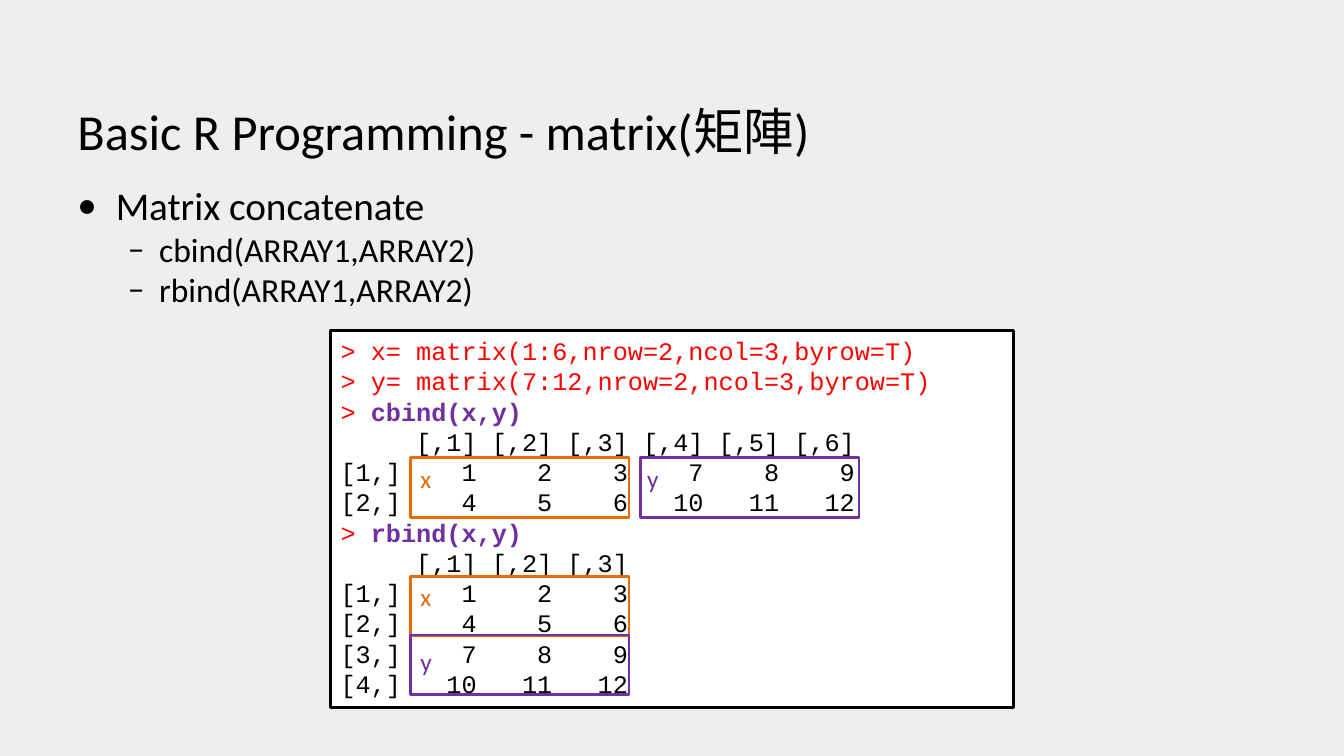
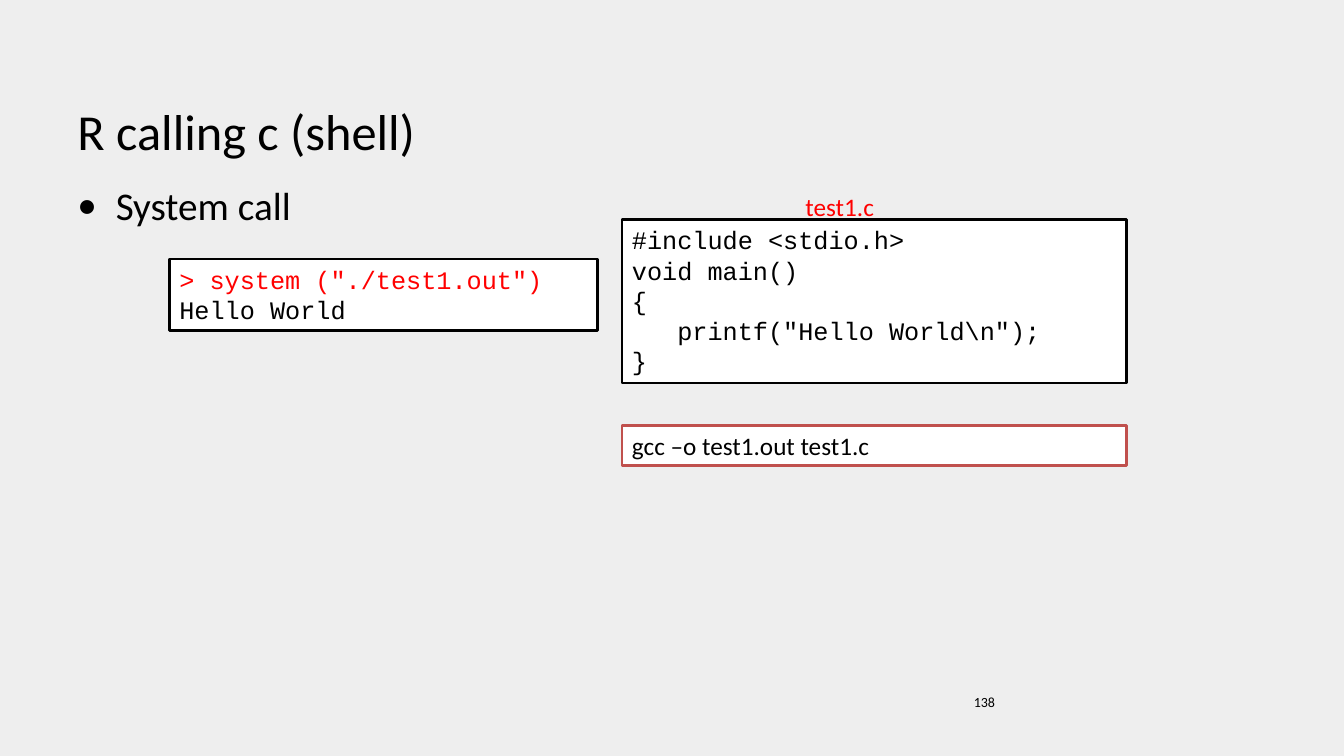
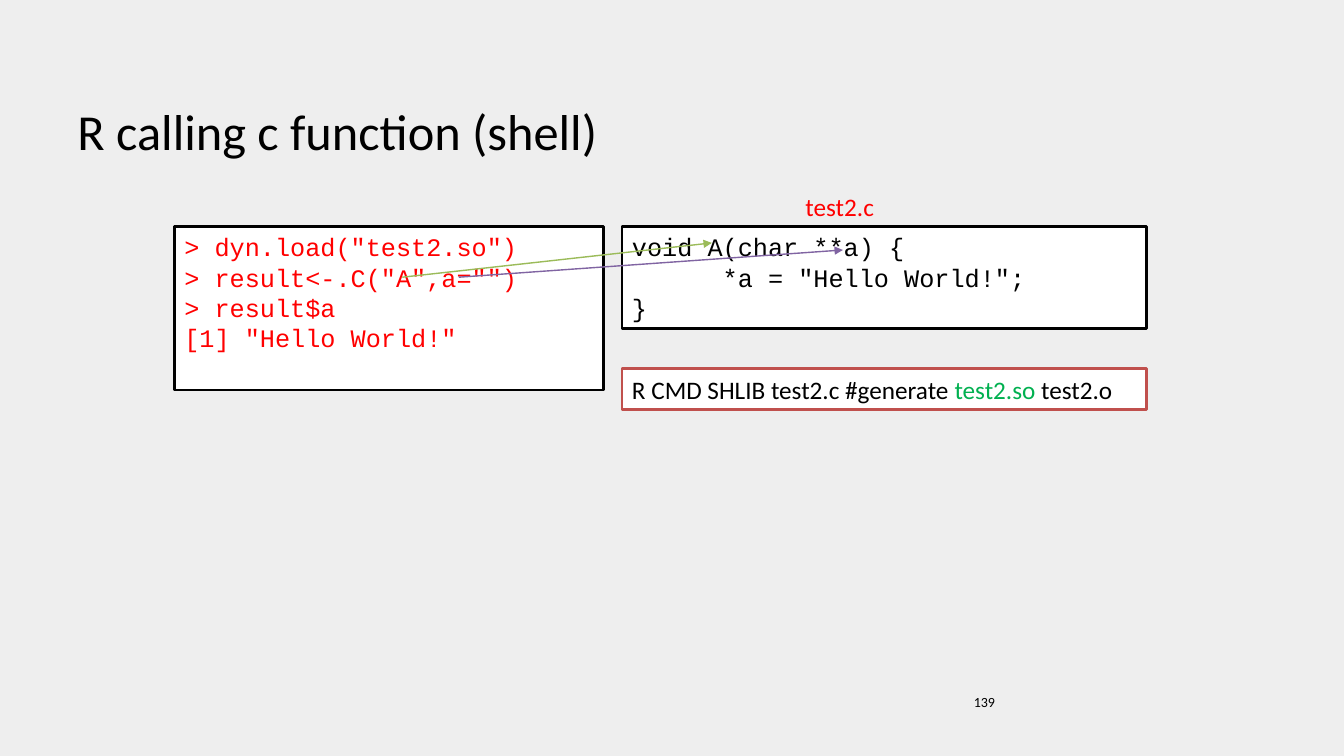
from dataclasses import dataclass

from lxml import etree
from pptx import Presentation
from pptx.dml.color import RGBColor
from pptx.enum import shapes, text
from pptx.oxml import ns
from pptx.util import Inches, Pt


@dataclass(frozen=True)
class Theme:
    background: str = "EEEEEE"
    paper: str = "FFFFFF"
    ink: str = "000000"
    red: str = "FF0000"
    brick: str = "C0504D"
    orange: str = "E46C0A"
    purple: str = "7030A0"
    green: str = "00B050"
    lime: str = "9BBB59"
    violet: str = "8064A2"
    prose: str = "Calibri"
    code: str = "Courier New"
    title_size: int = 36
    bullet_sizes: tuple = (28, 24)
    text_size: int = 18
    number_size: int = 10
    frame_width: int = 2


THEME = Theme()
BULLETS = (("•", 0.38, -0.38), ("–", 0.81, -0.31))


def color(value):
    return RGBColor.from_string(value)


def add_span(para, words, ink=THEME.ink, size=THEME.text_size, font=THEME.prose, bold=False):
    span = para.add_run()
    span.text = words
    span.font.name = font
    span.font.size = Pt(size)
    span.font.bold = bold
    span.font.color.rgb = color(ink)


def next_para(frame, index):
    return frame.add_paragraph() if index else frame.paragraphs[0]


def add_label(page, place, words, ink=THEME.ink, size=THEME.text_size, anchor=text.MSO_ANCHOR.TOP):
    box = page.shapes.add_textbox(*map(Inches, place))
    box.text_frame.word_wrap = True
    box.text_frame.vertical_anchor = anchor
    add_span(box.text_frame.paragraphs[0], words, ink, size)


def add_bullets(page, items):
    box = page.shapes.add_textbox(*map(Inches, (0.67, 1.75, 12, 4.95)))
    box.text_frame.word_wrap = True
    for index, (level, words) in enumerate(items):
        para = next_para(box.text_frame, index)
        para.level = level
        mark, margin, indent = BULLETS[level]
        properties = para._p.get_or_add_pPr()
        properties.set("marL", str(Inches(margin)))
        properties.set("indent", str(Inches(indent)))
        etree.SubElement(properties, ns.qn("a:buFont")).set("typeface", THEME.prose)
        etree.SubElement(properties, ns.qn("a:buChar")).set("char", mark)
        add_span(para, words, size=THEME.bullet_sizes[level])


def add_frame(page, place, line, fill=None):
    box = page.shapes.add_shape(shapes.MSO_SHAPE.RECTANGLE, *map(Inches, place))
    box.shadow.inherit = False
    box.line.color.rgb = color(line)
    box.line.width = Pt(THEME.frame_width)
    if fill:
        box.fill.solid()
        box.fill.fore_color.rgb = color(fill)
    else:
        box.fill.background()
    return box


def add_panel(page, place, lines, font=THEME.code, line=THEME.ink):
    frame = add_frame(page, place, line, THEME.paper).text_frame
    frame.word_wrap = True
    frame.vertical_anchor = text.MSO_ANCHOR.TOP
    for index, spans in enumerate(lines):
        para = next_para(frame, index)
        para.alignment = text.PP_ALIGN.LEFT
        for words, ink, *bold in spans:
            add_span(para, words, ink, font=font, bold=bool(bold))


def add_arrow(page, start, end, ink):
    arrow = page.shapes.add_connector(
        shapes.MSO_CONNECTOR.STRAIGHT, *map(Inches, (*start, *end)))
    arrow.line.color.rgb = color(ink)
    arrow.line.width = Pt(1)
    line = arrow.line._get_or_add_ln()
    etree.SubElement(line, ns.qn("a:tailEnd")).set("type", "triangle")
    etree.SubElement(arrow._element.spPr, ns.qn("a:effectLst"))


def add_page(deck, title, number=None):
    page = deck.slides.add_slide(deck.slide_layouts[6])
    add_label(page, (0.67, 0.39, 12, 1.25), title, size=THEME.title_size,
              anchor=text.MSO_ANCHOR.BOTTOM)
    if number:
        add_label(page, (9.56, 6.83, 3.11, 0.52), str(number), size=THEME.number_size)
    return page


def colored(ink, *lines):
    return [[(words, ink)] for words in lines]


def bind_call(name):
    return [("> ", THEME.red), (f"{name}(x,y)", THEME.purple, True)]


def matrix_lines(rows):
    columns = range(1, len(rows[0]) + 1)
    header = " " * 4 + "".join(f" [,{column}]" for column in columns)
    body = [f"[{index},]" + "".join(f"{value:>5}" for value in row)
            for index, row in enumerate(rows, 1)]
    return colored(THEME.ink, header, *body)


def build_matrix_page(deck):
    page = add_page(deck, "Basic R Programming - matrix(矩陣)")
    add_bullets(page, [(0, "Matrix concatenate"),
                       (1, "cbind(ARRAY1,ARRAY2)"),
                       (1, "rbind(ARRAY1,ARRAY2)")])
    x = [[1, 2, 3], [4, 5, 6]]
    y = [[7, 8, 9], [10, 11, 12]]
    add_panel(page, (3.28, 3.28, 6.77, 3.74), [
        *colored(THEME.red,
                 "> x= matrix(1:6,nrow=2,ncol=3,byrow=T)",
                 "> y= matrix(7:12,nrow=2,ncol=3,byrow=T)"),
        bind_call("cbind"),
        *matrix_lines([left + right for left, right in zip(x, y)]),
        bind_call("rbind"),
        *matrix_lines(x + y),
    ])
    blocks = [
        ("x", THEME.orange, (4.07, 4.54), (4.07, 4.55)),
        ("y", THEME.purple, (6.35, 4.54), (6.32, 4.55)),
        ("x", THEME.orange, (4.07, 5.72), (4.07, 5.72)),
        ("y", THEME.purple, (4.07, 6.3), (4.07, 6.36)),
    ]
    for name, ink, corner, label_corner in blocks:
        add_frame(page, (*corner, 2.17, 0.59), ink)
        add_label(page, (*label_corner, 0.32, 0.4), name, ink)


def build_system_page(deck):
    page = add_page(deck, "R calling c (shell)", 138)
    add_bullets(page, [(0, "System call")])
    add_panel(page, (6.17, 2.18, 5, 1.62), colored(
        THEME.ink, "#include <stdio.h>", "void main()", "{",
        '   printf("Hello World\\n");', "}"))
    add_panel(page, (6.17, 4.22, 5, 0.4),
              colored(THEME.ink, "gcc –o test1.out test1.c"), THEME.prose, THEME.brick)
    add_panel(page, (1.68, 2.57, 4.25, 0.71), [
        [('> system ("./test1.out")', THEME.red)],
        [("Hello World", THEME.ink)],
    ])
    add_label(page, (7.89, 1.85, 0.95, 0.4), "test1.c", THEME.red)


def build_function_page(deck):
    page = add_page(deck, "R calling c function (shell)", 139)
    add_panel(page, (6.17, 2.25, 5.2, 1.01), colored(
        THEME.ink, "void A(char **a) {", '      *a = "Hello World!";', "}"))
    add_label(page, (7.89, 1.85, 0.95, 0.4), "test2.c", THEME.red)
    add_panel(page, (6.17, 3.66, 5.2, 0.4), [[
        ("R CMD SHLIB test2.c #generate ", THEME.ink),
        ("test2.so", THEME.green),
        (" test2.o", THEME.ink),
    ]], THEME.prose, THEME.brick)
    add_panel(page, (1.73, 2.25, 4.26, 1.62), colored(
        THEME.red, '> dyn.load("test2.so")', '> result<-.C("A",a="")',
        "> result$a", '[1] "Hello World!"'))
    add_arrow(page, (3.99, 2.75), (7.06, 2.41), THEME.lime)
    add_arrow(page, (4.55, 2.75), (8.36, 2.48), THEME.violet)


def main():
    deck = Presentation()
    deck.slide_width = Inches(13.33)
    deck.slide_height = Inches(7.5)
    backdrop = deck.slide_master.background.fill
    backdrop.solid()
    backdrop.fore_color.rgb = color(THEME.background)
    build_matrix_page(deck)
    build_system_page(deck)
    build_function_page(deck)
    deck.save("out.pptx")


if __name__ == "__main__":
    main()
